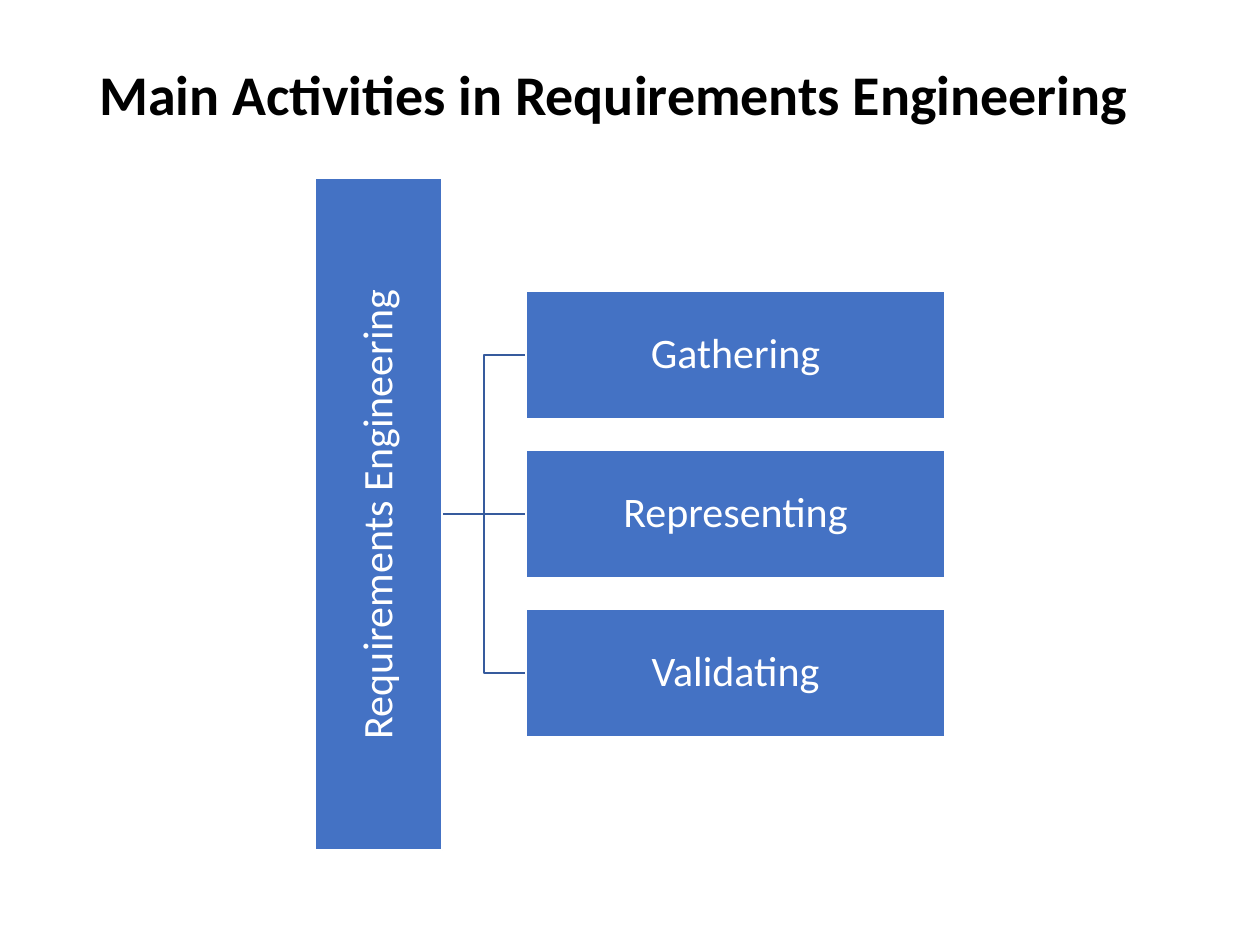
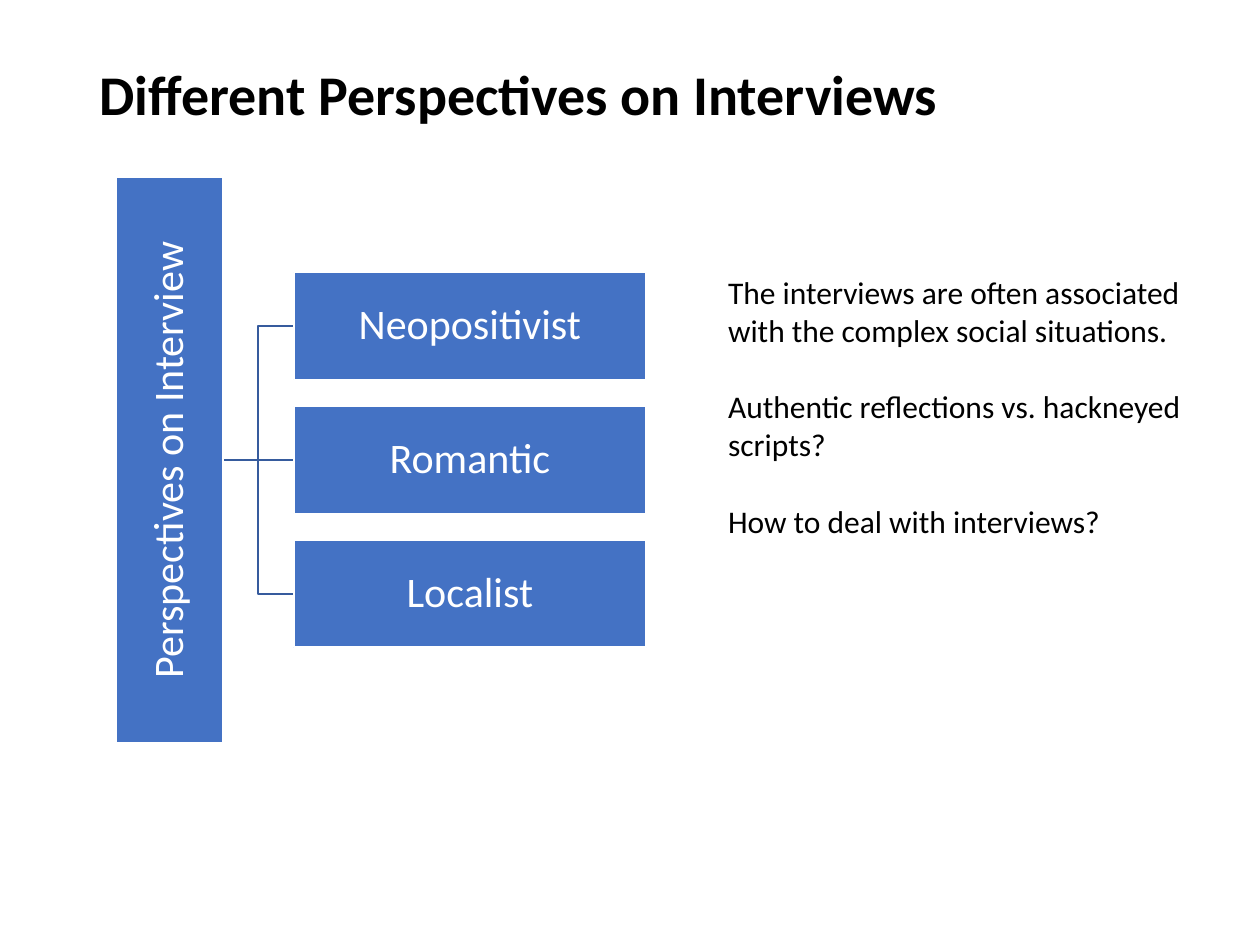
from pptx import Presentation
from pptx.dml.color import RGBColor
from pptx.enum.shapes import MSO_CONNECTOR, MSO_SHAPE
from pptx.enum.text import MSO_ANCHOR, PP_ALIGN
from pptx.oxml.ns import qn
from pptx.util import Inches, Pt
from lxml import etree

RECTANGLE = MSO_SHAPE.RECTANGLE
STRAIGHT, ELBOW = MSO_CONNECTOR.STRAIGHT, MSO_CONNECTOR.ELBOW
MIDDLE, TOP = MSO_ANCHOR.MIDDLE, MSO_ANCHOR.TOP
CENTER, LEFT = PP_ALIGN.CENTER, PP_ALIGN.LEFT

COLORS = {"box": "4472C4", "line": "365B9D", "white": "FFFFFF", "text": "000000"}
FONT = "Calibri"
TITLE_STYLE = {"size": Pt(32), "bold": True, "name": FONT}
BOX_STYLE = {"size": Pt(24), "bold": False, "name": FONT}
BODY_STYLE = {"size": Pt(18), "bold": False, "name": FONT}

# Hierarchy proportions, as multiples of the box height
ROOT_LENGTH, BRANCH_WIDTH, BRANCH_GAP, BRANCH_PITCH = 5.28, 3.29, 0.66, 1.25

SLIDES = [
    {
        "title": "Main Activities in Requirements Engineering",
        "root": "Requirements Engineering",
        "branches": ["Gathering", "Representing", "Validating"],
        "left": 2.5, "center_y": 4.08, "box_height": 1.01,
        "notes": [],
    },
    {
        "title": "Different Perspectives on Interviews",
        "root": "Perspectives on Interview",
        "branches": ["Neopositivist", "Romantic", "Localist"],
        "left": 0.92, "center_y": 3.65, "box_height": 0.85,
        "notes": [
            "The interviews are often associated with the complex social situations.",
            "Authentic reflections vs. hackneyed scripts?",
            "How to deal with interviews?",
        ],
    },
]


def write_text(shape, lines, style, color, anchor, align, line_spacing=1.0, gap=0):
    """Fill a shape with one paragraph per line, gap points apart."""
    frame = shape.text_frame
    frame.word_wrap = True
    frame.vertical_anchor = anchor
    for index, line in enumerate(lines):
        paragraph = frame.paragraphs[0] if index == 0 else frame.add_paragraph()
        paragraph.alignment = align
        paragraph.line_spacing = line_spacing
        if index:
            paragraph.space_before = Pt(gap)
        run = paragraph.add_run()
        run.text = line
        run.font.color.rgb = RGBColor.from_string(COLORS[color])
        for name, value in style.items():
            setattr(run.font, name, value)


def add_box(slide, center_x, center_y, width, height, text, rotation=0):
    box = slide.shapes.add_shape(
        RECTANGLE, Inches(center_x - width / 2), Inches(center_y - height / 2),
        Inches(width), Inches(height))
    box.rotation = rotation
    box.shadow.inherit = False
    box.fill.solid()
    box.fill.fore_color.rgb = RGBColor.from_string(COLORS["box"])
    box.line.color.rgb = RGBColor.from_string(COLORS["white"])
    box.line.width = Pt(1)
    for side in ("left", "right", "top", "bottom"):
        setattr(box.text_frame, f"margin_{side}", Inches(0.02))
    write_text(box, [text], BOX_STYLE, "white", MIDDLE, CENTER, 0.9)


presentation = Presentation()
presentation.slide_width, presentation.slide_height = Inches(10), Inches(7.5)
blank_layout = presentation.slide_layouts[6]

for content in SLIDES:
    slide = presentation.slides.add_slide(blank_layout)
    title = slide.shapes.add_textbox(Inches(0.69), Inches(0.4), Inches(8.62), Inches(0.74))
    write_text(title, [content["title"]], TITLE_STYLE, "text", MIDDLE, LEFT, 0.9)

    height, center_y = content["box_height"], content["center_y"]
    root_right = content["left"] + height
    branch_left = root_right + BRANCH_GAP * height
    branch_width = BRANCH_WIDTH * height
    middle = (len(content["branches"]) - 1) / 2
    branch_centers = [center_y + (index - middle) * BRANCH_PITCH * height
                      for index in range(len(content["branches"]))]

    for branch_y in branch_centers:
        kind = STRAIGHT if branch_y == center_y else ELBOW
        connector = slide.shapes.add_connector(
            kind, Inches(root_right), Inches(center_y), Inches(branch_left), Inches(branch_y))
        connector.line.color.rgb = RGBColor.from_string(COLORS["line"])
        connector.line.width = Pt(1)
        etree.SubElement(connector._element.spPr, qn("a:effectLst"))

    add_box(slide, content["left"] + height / 2, center_y, ROOT_LENGTH * height, height,
            content["root"], rotation=270)
    for branch_y, branch in zip(branch_centers, content["branches"]):
        add_box(slide, branch_left + branch_width / 2, branch_y, branch_width, height, branch)

    if content["notes"]:
        notes = slide.shapes.add_textbox(Inches(5.68), Inches(2.12), Inches(3.85), Inches(2.52))
        write_text(notes, content["notes"], BODY_STYLE, "text", TOP, LEFT, gap=22)

presentation.save("out.pptx")
